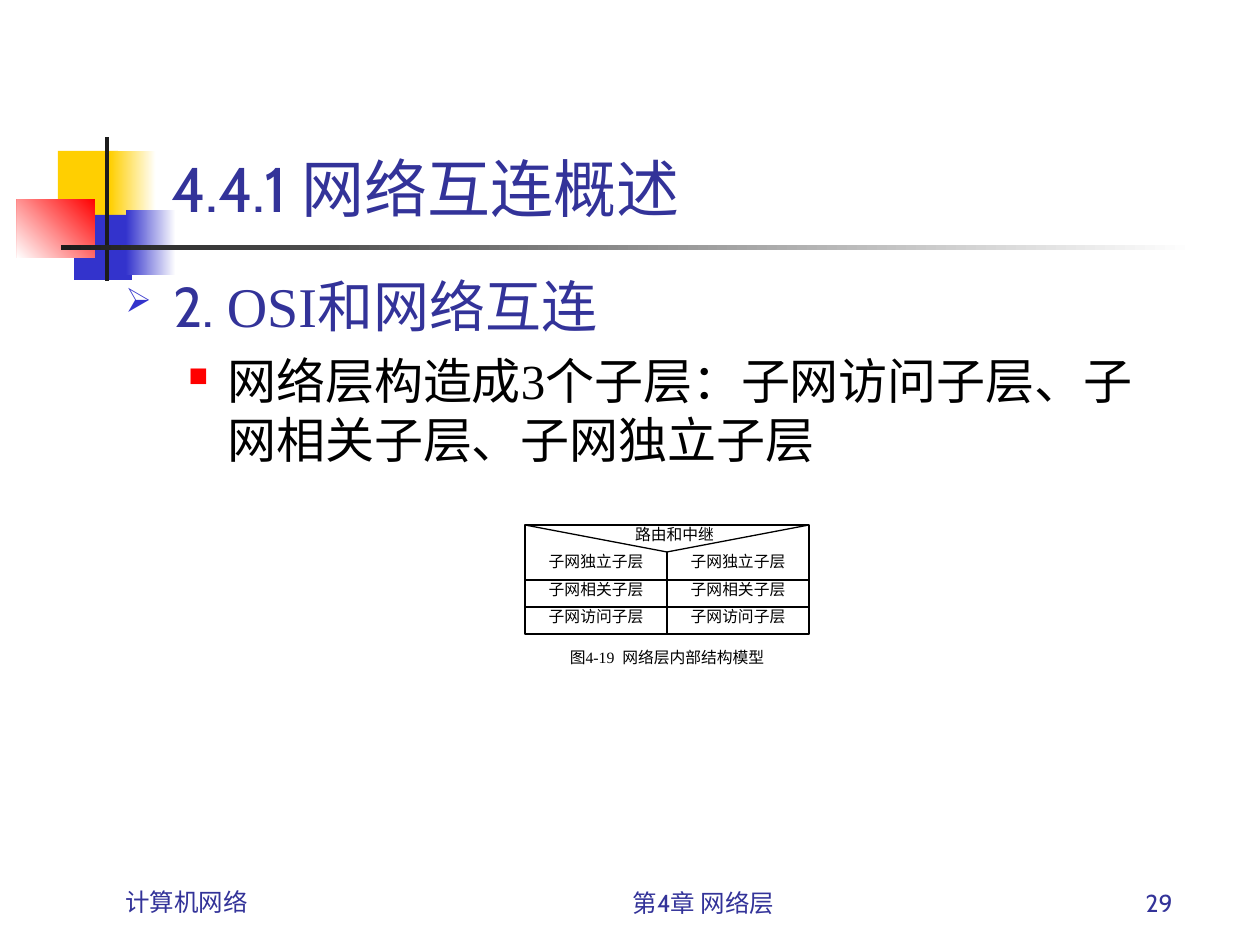
from dataclasses import dataclass
from typing import Any

from lxml.etree import SubElement as Sub
from pptx import Presentation
from pptx.dml.color import RGBColor as RGB
from pptx.enum.shapes import MSO_CONNECTOR as Conn, MSO_SHAPE as Kind
from pptx.enum.text import MSO_ANCHOR as Anchor, PP_ALIGN as Align
from pptx.oxml.ns import qn
from pptx.util import Emu, Pt

SCALE = 914400 / 126
BLUE, NAVY, RED, YELLOW = "3333CC", "333399", "FF0000", "FFCF01"
DARK, BLACK, WHITE = "1C1C1C", "000000", "FFFFFF"
CABIN, SERIF, HAN = "Cabin", "Times New Roman", "Noto Sans CJK SC"


def px(n):
    return Emu(round(n * SCALE))


def paint(color, value):
    color.rgb = RGB.from_string(value)


def add_run(para, text, size=14, font=CABIN, color=NAVY):
    run = para.add_run()
    run.text = text
    run.font.size = Pt(size)
    run.font.name = font
    paint(run.font.color, color)
    Sub(run.font._element, qn("a:ea"), typeface=HAN)


def add_mark(para, char, color, percent, left, hang):
    """Give a paragraph a coloured bullet and a hanging indent."""
    props = para._p.get_or_add_pPr()
    props.set("marL", str(px(left)))
    props.set("indent", str(-px(hang)))
    Sub(Sub(props, qn("a:buClr")), qn("a:srgbClr"), val=color)
    Sub(props, qn("a:buSzPct"), val=str(percent * 1000))
    Sub(props, qn("a:buChar"), char=char)


@dataclass
class Board:
    slide: Any
    ink: str = BLACK
    width: float = 0.75

    def rect(self, x, y, w, h, fill, fade=None, line=False):
        """Draw a box; fade is the angle along which fill turns to white or None."""
        box = self.slide.shapes.add_shape(Kind.RECTANGLE, px(x), px(y), px(w), px(h))
        box.shadow.inherit = False
        if fade is None:
            box.fill.solid()
            paint(box.fill.fore_color, fill)
        else:
            box.fill.gradient()
            box.fill.gradient_angle = fade
            for stop, shade in zip(box.fill.gradient_stops, (fill, WHITE)):
                paint(stop.color, shade)
        if line:
            self.stroke(box.line)
        else:
            box.line.fill.background()

    def stroke(self, line):
        paint(line.color, self.ink)
        line.width = Pt(self.width)

    def line(self, x1, y1, x2, y2):
        link = self.slide.shapes.add_connector(
            Conn.STRAIGHT, px(x1), px(y1), px(x2), px(y2))
        self.stroke(link.line)
        Sub(link._element.spPr, qn("a:effectLst"))

    def frame(self, x, y, w, h, anchor=Anchor.TOP, inset=True):
        frame = self.slide.shapes.add_textbox(px(x), px(y), px(w), px(h)).text_frame
        frame.word_wrap = True
        frame.vertical_anchor = anchor
        if not inset:
            frame.margin_left = frame.margin_right = 0
            frame.margin_top = frame.margin_bottom = 0
        return frame

    def text(self, x, y, w, h, text, align=Align.LEFT, anchor=Anchor.BOTTOM,
             inset=True, **style):
        para = self.frame(x, y, w, h, anchor, inset).paragraphs[0]
        para.alignment = align
        add_run(para, text, **style)

    def label(self, x, y, w, text):
        self.text(x, y, w, 27, text, Align.CENTER, Anchor.TOP, False,
                  size=9, font=SERIF, color=BLACK)


def draw_motif(board):
    board.rect(58, 151, 60, 65, YELLOW)
    board.rect(110, 151, 46, 65, YELLOW, fade=0)
    board.rect(74, 215, 58, 65, BLUE)
    board.rect(126, 210, 50, 65, BLUE, fade=0)
    board.rect(17, 199, 78, 59, RED, fade=225)
    board.rect(105, 137, 4, 144, DARK)
    board.rect(61, 245, 1134, 5, DARK, fade=0)


def draw_body(board):
    frame = board.frame(113, 265, 1071, 567)
    head, item = frame.paragraphs[0], frame.add_paragraph()
    head.space_before, item.space_before = Pt(8), Pt(7)
    item.level = 1
    add_mark(head, "➢", BLUE, 60, 48, 48)
    add_mark(item, "■", RED, 55, 102, 39)
    for text, font in (("2. ", CABIN), ("OSI", SERIF), ("和网络互连", HAN)):
        add_run(head, text, 32, font)
    for text, font in (("网络层构造成", HAN), ("3", SERIF),
                       ("个子层：子网访问子层、子网相关子层、子网独立子层", HAN)):
        add_run(item, text, 28, font, BLACK)


def draw_model(board):
    left, mid, right = 525, 667, 809
    top, fork, upper, lower, end = 525, 552, 580, 607, 634
    board.rect(left, top, right - left, end - top, WHITE, line=True)
    for y in (upper, lower):
        board.line(left, y, right, y)
    for x in (left, right):
        board.line(x, top, mid, fork)
    board.line(mid, fork, mid, end)
    board.label(635, top, 79, "路由和中继")
    rows = ((fork, "子网独立子层"), (upper, "子网相关子层"), (lower, "子网访问子层"))
    for y, name in rows:
        for x in (left, mid):
            board.label(x + 16, y, 110, name)
    board.label(left, 648, right - left, "图4-19  网络层内部结构模型")


def main():
    deck = Presentation()
    deck.slide_width, deck.slide_height = px(1260), px(945)
    board = Board(deck.slides.add_slide(deck.slide_layouts[6]))
    draw_motif(board)
    board.text(159, 29, 1074, 202, "4.4.1 网络互连概述", size=36)
    draw_body(board)
    draw_model(board)
    board.text(504, 861, 399, 63, "第4章 网络层", Align.CENTER)
    board.text(970, 861, 215, 63, "29", Align.RIGHT)
    board.text(113, 860, 262, 63, "计算机网络")
    deck.save("out.pptx")


if __name__ == "__main__":
    main()
